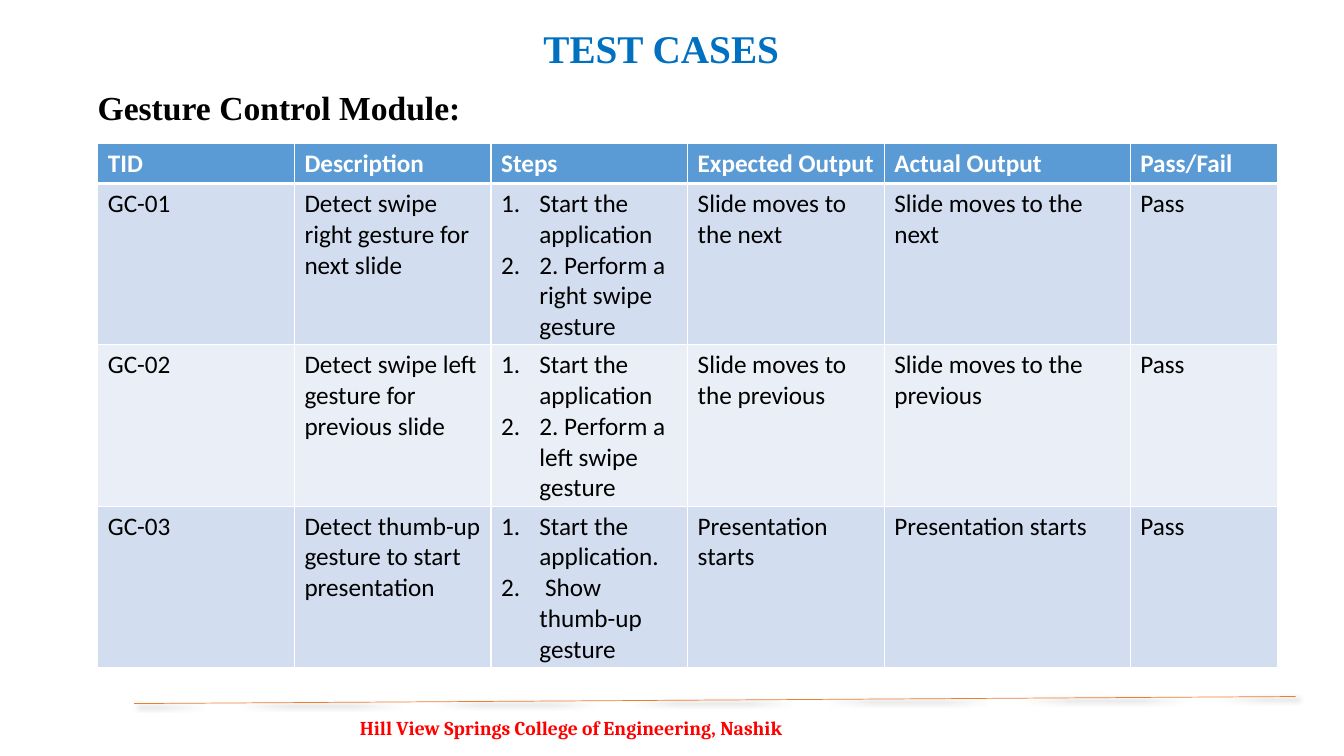
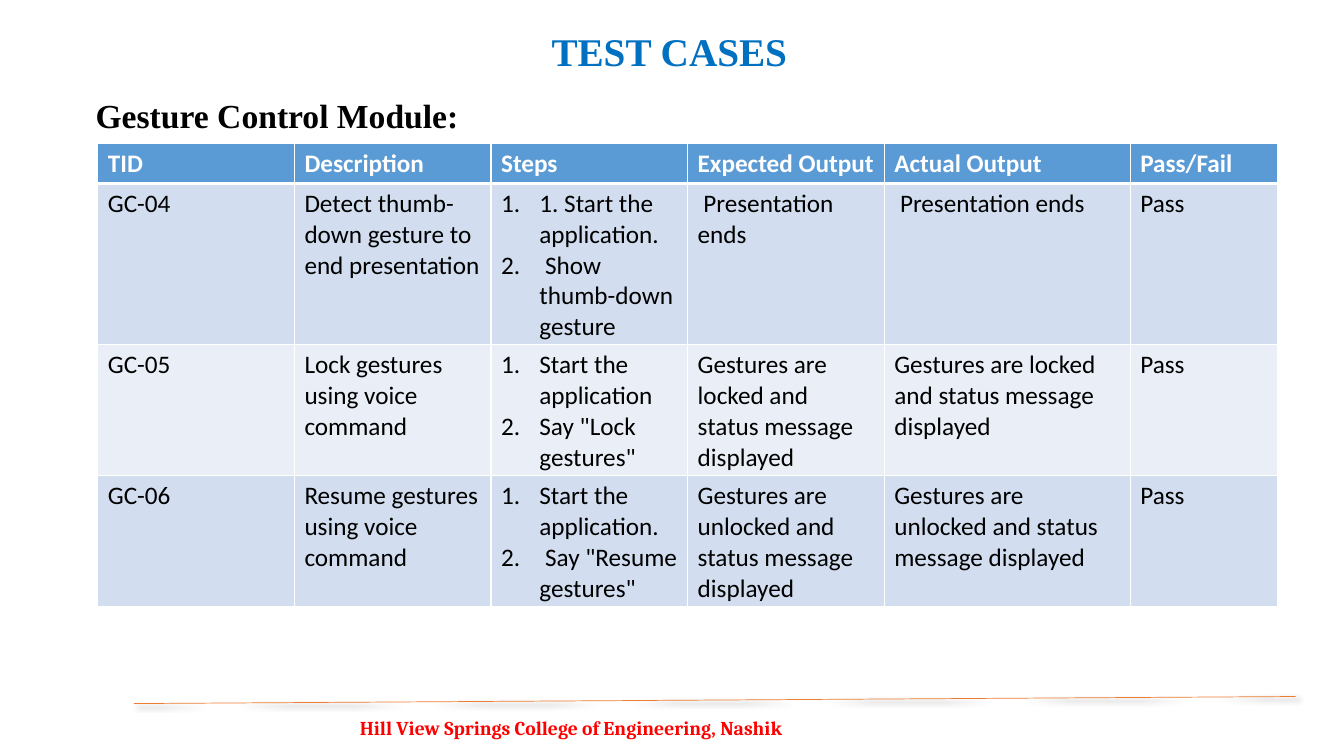
"""Build two slides of gesture control test cases."""
from pptx import Presentation
from pptx.dml.color import RGBColor
from pptx.enum import shapes, text
from pptx.oxml import parse_xml
from pptx.oxml import ns
from pptx.util import Pt

PX = 9144
BLUE = RGBColor(0x00, 0x70, 0xC0)
RED = RGBColor(0xFF, 0x00, 0x00)
BLACK = RGBColor(0x00, 0x00, 0x00)
WHITE = RGBColor(0xFF, 0xFF, 0xFF)
ORANGE = RGBColor(0xED, 0x7D, 0x31)
HEAD = RGBColor(0x5B, 0x9B, 0xD5)
BANDS = [RGBColor(0xEA, 0xEF, 0xF7), RGBColor(0xD2, 0xDE, 0xEF)]
SERIF = "Times New Roman"

TITLE = "TEST CASES"
MODULE = "Gesture Control Module:"
FOOTER = "Hill View Springs College of Engineering, Nashik"
HEADS = ["TID", "Description", "Steps", "Expected Output", "Actual Output", "Pass/Fail"]
COLS = [195, 195, 195, 195, 244, 146]
ROWS = [32, 125, 125, 125]

SLIDES = [
    {
        "title": (529, 19),
        "module": (87, 81),
        "cases": [
            ("GC-01", "Detect swipe right gesture for next slide",
             ["Start the application", "2. Perform a right swipe gesture"],
             "Slide moves to the next"),
            ("GC-02", "Detect swipe left gesture for previous slide",
             ["Start the application", "2. Perform a left swipe gesture"],
             "Slide moves to the previous"),
            ("GC-03", "Detect thumb-up gesture to start presentation",
             ["Start the application.", " Show thumb-up gesture"],
             "Presentation starts"),
        ],
    },
    {
        "title": (537, 22),
        "module": (85, 89),
        "cases": [
            ("GC-04", "Detect thumb-down gesture to end presentation",
             ["1. Start the application.", " Show thumb-down gesture"],
             " Presentation ends"),
            ("GC-05", "Lock gestures using voice command",
             ["Start the application", 'Say "Lock gestures"'],
             "Gestures are locked and status message displayed"),
            ("GC-06", "Resume gestures using voice command",
             ["Start the application.", ' Say "Resume gestures"'],
             "Gestures are unlocked and status message displayed"),
        ],
    },
]


def px(*vals):
    return [v * PX for v in vals]


def write(para, words, font, size, color, bold=True):
    run = para.add_run()
    run.text = words
    run.font.name = font
    run.font.size = Pt(size)
    run.font.color.rgb = color
    run.font.bold = bold


def indent(para, size):
    props = para._p.get_or_add_pPr()
    props.set("marL", str(size * PX))
    props.set("indent", str(-size * PX))
    return props


def add_text(slide, box, words, font, size, color):
    frame = slide.shapes.add_textbox(*px(*box)).text_frame
    frame.word_wrap = True
    para = frame.paragraphs[0]
    write(para, words, font, size, color)
    return para


def add_title(slide, spot):
    title = slide.shapes.title
    title.left, title.top, title.width, title.height = px(*spot, 501, 57)
    frame = title.text_frame
    frame.word_wrap = True
    frame.auto_size = text.MSO_AUTO_SIZE.NONE
    frame.vertical_anchor = text.MSO_ANCHOR.TOP
    para = frame.paragraphs[0]
    para.alignment = text.PP_ALIGN.LEFT
    write(para, TITLE, SERIF, 28, BLUE)


def add_footer(slide):
    para = add_text(slide, (347, 708, 583, 42), FOOTER, "Cambria", 14, RED)
    indent(para, 25)
    para.line_spacing = 0.9
    para.space_before = Pt(10)
    rule = slide.shapes.add_connector(
        shapes.MSO_CONNECTOR.STRAIGHT, *px(133, 698, 1285, 691))
    rule.line.color.rgb = ORANGE
    rule.line.width = Pt(0.5)
    rule._element.spPr.append(parse_xml(
        f'<a:effectLst {ns.nsdecls("a")}>'
        f'<a:outerShdw blurRad="{Pt(4)}" dist="{Pt(3)}" dir="2700000" algn="tl" rotWithShape="0">'
        f'<a:srgbClr val="{BLACK}"><a:alpha val="40000"/></a:srgbClr>'
        '</a:outerShdw></a:effectLst>'))


def style(cell, fill, top, base):
    props = cell._tc.get_or_add_tcPr()
    for side, width in zip("LRTB", (1, 1, top, base)):
        props.append(parse_xml(
            f'<a:ln{side} {ns.nsdecls("a")} w="{Pt(width)}"><a:solidFill>'
            f'<a:srgbClr val="{WHITE}"/></a:solidFill></a:ln{side}>'))
    cell.fill.solid()
    cell.fill.fore_color.rgb = fill


def fill_cell(cell, words, color, bold):
    steps = isinstance(words, list)
    frame = cell.text_frame
    for i, line in enumerate(words if steps else [words]):
        para = frame.add_paragraph() if i else frame.paragraphs[0]
        if steps:
            indent(para, 38).append(parse_xml(
                f'<a:buAutoNum {ns.nsdecls("a")} type="arabicPeriod"/>'))
        write(para, line, "Calibri", 18, color, bold)


def add_cases(slide, cases):
    rows = [HEADS] + [(*case, case[-1], "Pass") for case in cases]
    table = slide.shapes.add_table(
        len(rows), len(COLS), *px(97, 142, sum(COLS), sum(ROWS))).table
    for col, width in zip(table.columns, COLS):
        col.width = width * PX
    for r, row in enumerate(rows):
        table.rows[r].height = ROWS[r] * PX
        first = r == 0
        for c, words in enumerate(row):
            cell = table.cell(r, c)
            style(cell, HEAD if first else BANDS[r % 2],
                  3 if r == 1 else 1, 3 if first else 1)
            fill_cell(cell, words, WHITE if first else BLACK, first)


def main():
    deck = Presentation()
    deck.slide_width, deck.slide_height = px(1333, 750)
    for data in SLIDES:
        slide = deck.slides.add_slide(deck.slide_layouts[5])
        add_footer(slide)
        add_title(slide, data["title"])
        add_text(slide, (*data["module"], 1009, 50), MODULE, SERIF, 24, BLACK)
        add_cases(slide, data["cases"])
    deck.save("out.pptx")


if __name__ == "__main__":
    main()
